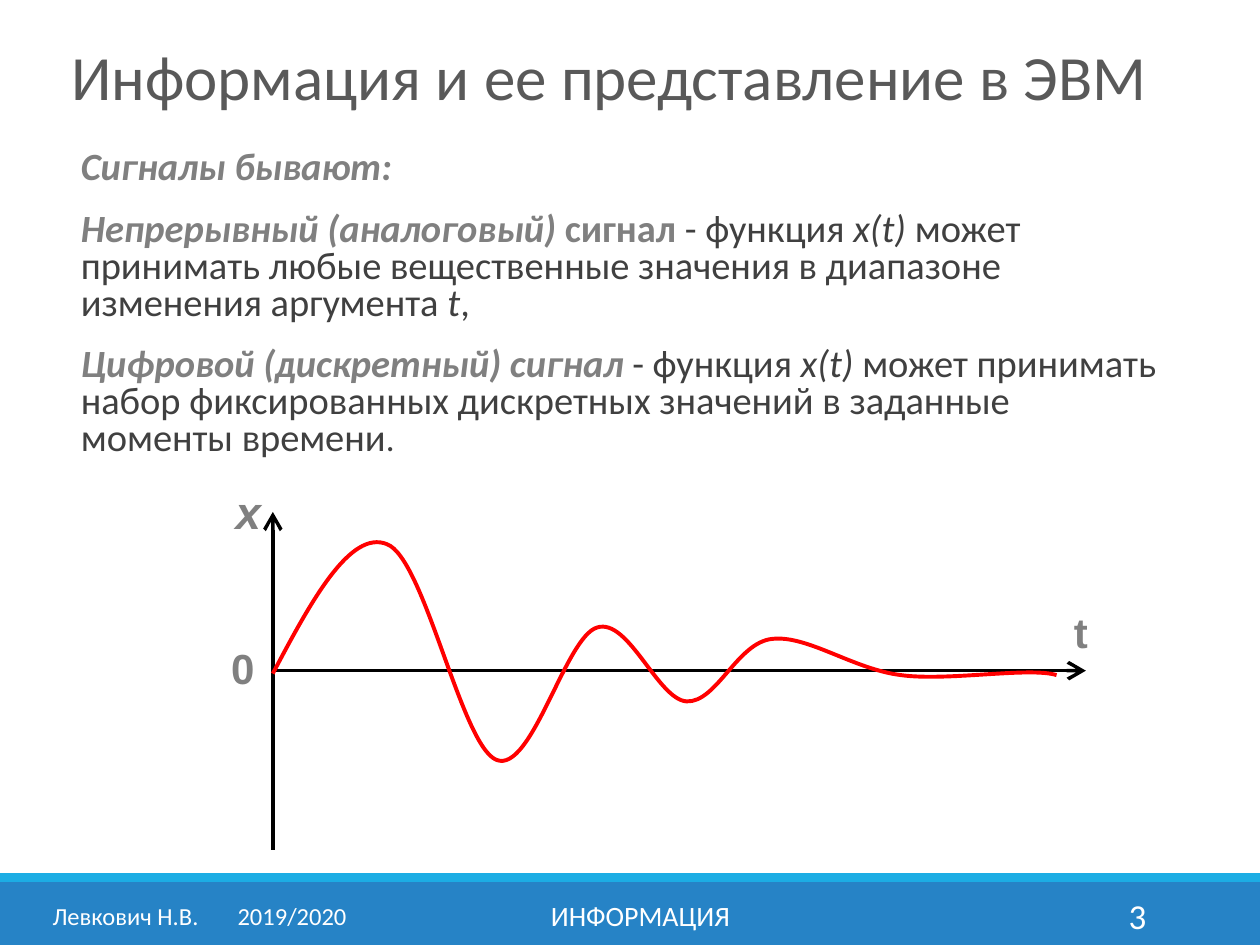
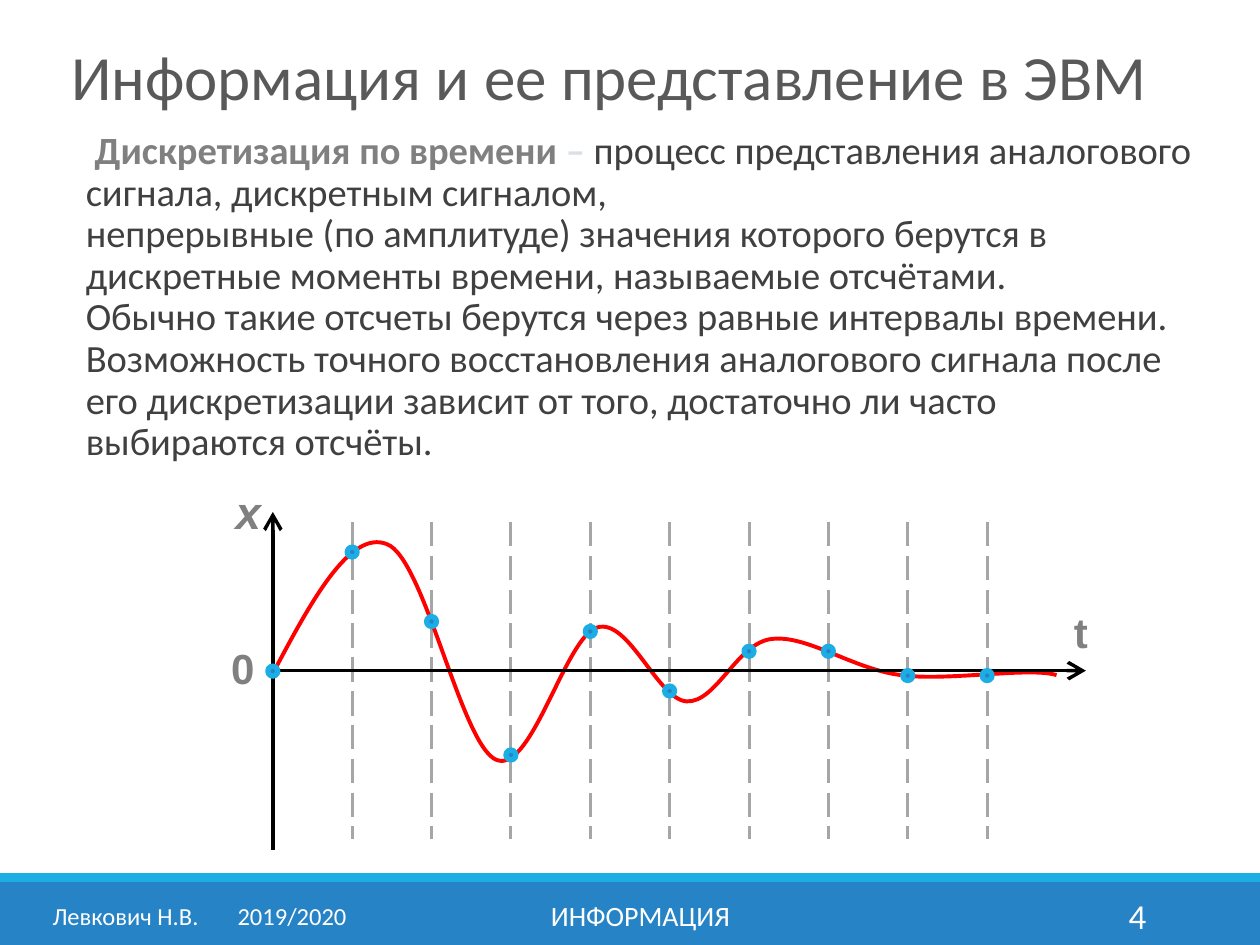
from dataclasses import dataclass
from typing import Optional, Union

from lxml.etree import SubElement
from pptx import Presentation
from pptx.dml.color import RGBColor
from pptx.enum.dml import MSO_LINE
from pptx.enum.shapes import MSO_CONNECTOR, MSO_SHAPE
from pptx.enum.text import MSO_ANCHOR, PP_ALIGN
from pptx.oxml.ns import qn
from pptx.util import Cm, Pt

# Colours
WHITE = RGBColor(0xFF, 0xFF, 0xFF)
BLACK = RGBColor(0, 0, 0)
RED = RGBColor(0xFF, 0, 0)
BLUE = RGBColor(0x26, 0x83, 0xC6)
SKY = RGBColor(0x1C, 0xAD, 0xE4)
TITLE = RGBColor(0x59, 0x59, 0x59)
DARK = RGBColor(0x40, 0x40, 0x40)
GREY = RGBColor(0x80, 0x80, 0x80)
SILVER = RGBColor(0xA6, 0xA6, 0xA6)
PALE = RGBColor(0xD9, 0xE0, 0xE6)


@dataclass(frozen=True)
class Box:
    """Place and size in centimetres."""
    left: float
    top: float
    width: float
    height: float

    def lengths(self) -> tuple:
        return Cm(self.left), Cm(self.top), Cm(self.width), Cm(self.height)


@dataclass(frozen=True)
class Run:
    text: str
    color: Optional[RGBColor] = None
    bold: bool = False
    italic: bool = False
    size: Optional[float] = None


@dataclass(frozen=True)
class Label:
    text: str
    box: Box
    size: float
    align: PP_ALIGN = PP_ALIGN.LEFT
    italic: bool = False
    tab: Optional[float] = None


# Shared geometry in centimetres
WIDTH, HEIGHT = 25.4, 19.05
LEFT, RIGHT, ZERO = 5.5, 21.89, 13.52
TOP, BOTTOM = 10.32, 17.13
STEP, DOT = 1.6, 0.2
HEADING = "Информация и ее представление в ЭВМ"
HEAD = Box(1.19, 0.62, 23.6, 2.03)

FOOTER = [
    Label("Левкович Н.В.\t2019/2020", Box(0.81, 17.94, 6.63, 1.02), 14, tab=3.73),
    Label("ИНФОРМАЦИЯ", Box(7.68, 17.94, 10.46, 1.02), 16, PP_ALIGN.CENTER),
]
NUMBER = Box(20.62, 17.94, 2.74, 1.02)
NAMES = [
    Label("0", Box(4.3, 12.93, 1.19, 0.99), 24, PP_ALIGN.CENTER),
    Label("t", Box(21.62, 12.19, 2.03, 1.1), 24),
    Label("x", Box(4.72, 9.73, 0.76, 1.02), 26, italic=True),
]

# Start of the signal, then two handles and an end for each piece
START = (5.5, 13.58)
PIECES = [
    ((6.27, 12.12), (7.06, 10.67), (7.8, 10.97)),
    ((8.56, 11.25), (9.3, 15.04), (10.01, 15.32)),
    ((10.72, 15.6), (11.4, 12.83), (12.04, 12.65)),
    ((12.67, 12.45), (13.26, 14.1), (13.84, 14.14)),
    ((14.45, 14.17), (14.86, 12.95), (15.57, 12.88)),
    ((16.28, 12.8), (17.2, 13.49), (18.16, 13.61)),
    ((19.1, 13.74), (20.75, 13.44), (21.3, 13.61)),
]
SAMPLES = [13.53, 11.13, 12.53, 15.22, 12.73, 13.93, 13.13, 13.13, 13.62, 13.62]

# Body texts
KINDS = [
    [Run("Сигналы бывают:", GREY, True, True)],
    [
        Run("Непрерывный (аналоговый) ", GREY, True, True),
        Run("сигнал ", GREY, True),
        Run("- функция "),
        Run("x(t) ", italic=True),
        Run("может принимать любые вещественные значения в диапазоне "
            "изменения аргумента "),
        Run("t", italic=True),
        Run(","),
    ],
    [
        Run("Цифровой (дискретный) сигнал ", GREY, True, True),
        Run("- функция "),
        Run("x(t) ", italic=True),
        Run("может принимать набор фиксированных дискретных значений "
            "в заданные моменты времени"),
        Run(".", size=20),
    ],
]
SAMPLING = [[
    Run("Дискретизация по времени ", GREY, True),
    Run("– ", PALE, True),
    Run("процесс представления аналогового сигнала, дискретным сигналом,\n"
        "непрерывные (по амплитуде) значения которого берутся в дискретные "
        "моменты времени, называемые отсчётами.\n"
        "Обычно такие отсчеты берутся через равные интервалы времени. "
        "Возможность точного восстановления аналогового сигнала после его "
        "дискретизации зависит от того, достаточно ли часто выбираются отсчёты."),
]]


def write(slide, text: Union[str, list], box: Box, *, size: float,
          color: RGBColor = DARK, font: str = "Calibri", bold: bool = False,
          italic: bool = False, align: PP_ALIGN = PP_ALIGN.LEFT,
          anchor: MSO_ANCHOR = MSO_ANCHOR.TOP, pad: tuple = (0.25, 0.13),
          line: float = 1.0, before: float = 0, after: float = 0,
          indent: float = 0, tab: Optional[float] = None) -> None:
    """Add a text box from a string or from paragraphs made of runs."""
    frame = slide.shapes.add_textbox(*box.lengths()).text_frame
    frame.word_wrap = True
    frame.vertical_anchor = anchor
    frame.margin_left = frame.margin_right = Cm(pad[0])
    frame.margin_top = frame.margin_bottom = Cm(pad[1])
    paras = [[Run(text, color, bold, italic)]] if isinstance(text, str) else text
    for i, runs in enumerate(paras):
        para = frame.add_paragraph() if i else frame.paragraphs[0]
        para.alignment = align
        para.line_spacing = line
        para.space_before, para.space_after = Pt(before), Pt(after)
        props = para._p.get_or_add_pPr()
        if indent:
            props.set("indent", str(Cm(indent)))
        if tab:
            stops = SubElement(props, qn("a:tabLst"))
            SubElement(stops, qn("a:tab"), pos=str(Cm(tab)), algn="l")
        for run in runs:
            for j, part in enumerate(run.text.split("\n")):
                if j:
                    para.add_line_break()
                piece = para.add_run()
                piece.text = part
                face = piece.font
                face.name, face.size = font, Pt(run.size or size)
                face.bold, face.italic = run.bold, run.italic
                face.color.rgb = run.color or color


def shape(slide, kind: MSO_SHAPE, box: Box, fill: RGBColor,
          edge: Optional[RGBColor] = None) -> None:
    item = slide.shapes.add_shape(kind, *box.lengths())
    item.shadow.inherit = False
    item.fill.solid()
    item.fill.fore_color.rgb = fill
    if edge is None:
        item.line.fill.background()
    else:
        item.line.color.rgb = edge
        item.line.width = Pt(3)


def rule(slide, start: tuple, end: tuple, color: RGBColor, width: float,
         arrow: Optional[str] = None, dash: Optional[MSO_LINE] = None) -> None:
    """Draw a line; arrow is headEnd (at start) or tailEnd (at end)."""
    item = slide.shapes.add_connector(
        MSO_CONNECTOR.STRAIGHT, *map(Cm, start + end))
    item.line.color.rgb = color
    item.line.width = Pt(width)
    if dash:
        item.line.dash_style = dash
    if arrow:
        SubElement(item.line._get_or_add_ln(), qn("a:" + arrow),
                   type="arrow", w="lg", len="lg")
    SubElement(item._element.spPr, qn("a:effectLst"))


def axes(slide) -> None:
    rule(slide, (LEFT, ZERO), (RIGHT, ZERO), BLACK, 2, "tailEnd")
    rule(slide, (LEFT, TOP), (LEFT, BOTTOM), BLACK, 2, "headEnd")
    for name in NAMES:
        write(slide, name.text, name.box, size=name.size, color=GREY,
              font="Arial", bold=True, italic=name.italic, align=name.align,
              pad=(0.03, 0.03))


def curve(slide) -> None:
    """Draw the signal: an outline of end points, bent into cubic pieces."""
    builder = slide.shapes.build_freeform(*map(Cm, START))
    builder.add_line_segments(
        [tuple(map(Cm, piece[-1])) for piece in PIECES], close=False)
    item = builder.convert_to_shape()
    for step, piece in zip(list(item._element.iter(qn("a:lnTo"))), PIECES):
        step.tag = qn("a:cubicBezTo")
        bend = SubElement(step.getparent(), qn("a:cubicBezTo"))
        for x, y in piece:
            SubElement(bend, qn("a:pt"), x=str(Cm(x) - item.left),
                       y=str(Cm(y) - item.top))
        step.getparent().replace(step, bend)
    item.shadow.inherit = False
    item.fill.background()
    item.line.color.rgb = RED
    item.line.width = Pt(2.25)


def grid(slide) -> None:
    for i in range(1, len(SAMPLES)):
        x = LEFT + i * STEP
        rule(slide, (x, 10.52), (x, 16.92), SILVER, 1.75,
             dash=MSO_LINE.LONG_DASH)


def dots(slide) -> None:
    for i, y in enumerate(SAMPLES):
        box = Box(LEFT + i * STEP - DOT / 2, y - DOT / 2, DOT, DOT)
        shape(slide, MSO_SHAPE.OVAL, box, BLUE, SKY)


def base(deck, number: int):
    """Add a slide with its title, bands and footer."""
    slide = deck.slides.add_slide(deck.slide_layouts[6])
    shape(slide, MSO_SHAPE.RECTANGLE, Box(0, 17.78, WIDTH, 1.27), BLUE)
    shape(slide, MSO_SHAPE.RECTANGLE, Box(0, 17.6, WIDTH, 0.18), SKY)
    write(slide, HEADING, HEAD, size=36, color=TITLE, line=0.85,
          anchor=MSO_ANCHOR.MIDDLE)
    for item in FOOTER + [Label(str(number), NUMBER, 20, PP_ALIGN.RIGHT)]:
        write(slide, item.text, item.box, size=item.size, color=WHITE,
              align=item.align, anchor=MSO_ANCHOR.MIDDLE, tab=item.tab)
    return slide


def body(slide, text: list, box: Box, line: float, indent: float = 0) -> None:
    write(slide, text, box, size=22, pad=(0, 0.13), line=line, before=12,
          after=2, indent=indent)


def main() -> None:
    deck = Presentation()
    deck.slide_width, deck.slide_height = Cm(WIDTH), Cm(HEIGHT)

    # Kinds of signal
    slide = base(deck, 3)
    body(slide, KINDS, Box(1.63, 2.92, 21.77, 6.88), 0.8)
    axes(slide)
    curve(slide)

    # Sampling in time
    slide = base(deck, 4)
    body(slide, SAMPLING, Box(1.73, 2.52, 22.58, 6.4), 0.9, indent=0.18)
    grid(slide)
    curve(slide)
    axes(slide)
    dots(slide)

    deck.save("out.pptx")


if __name__ == "__main__":
    main()
